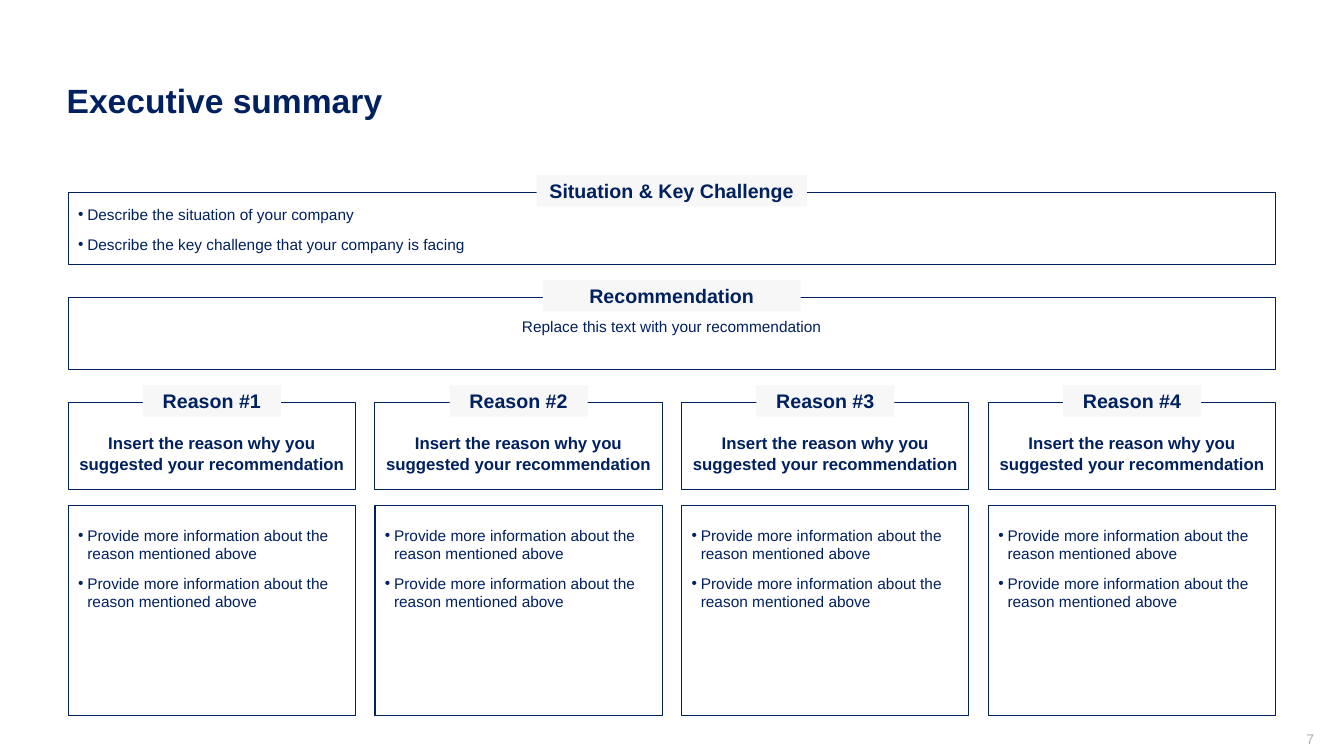
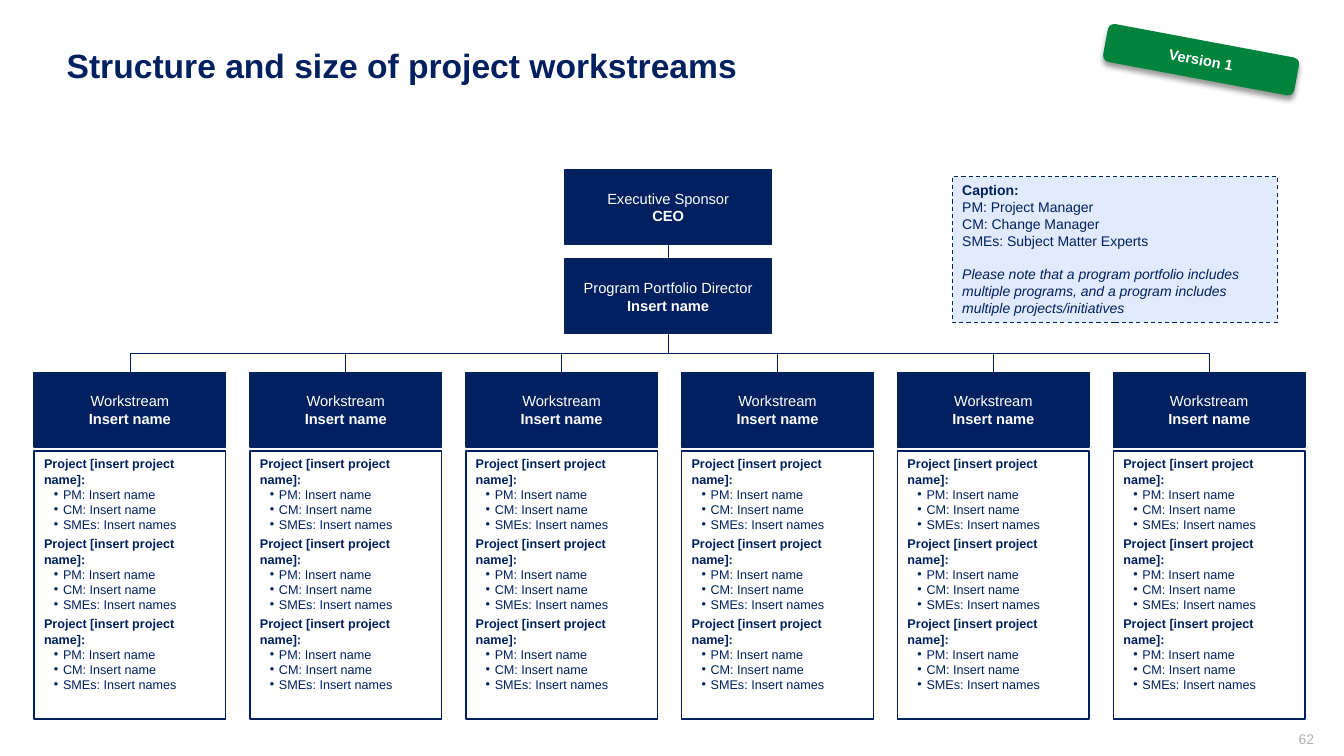
import collections.abc
import dataclasses
import typing

import lxml.etree
import pptx
import pptx.dml.color
import pptx.enum.dml
import pptx.enum.shapes
import pptx.enum.text
import pptx.oxml.ns
import pptx.util

Cm = pptx.util.Cm
Pt = pptx.util.Pt
qn = pptx.oxml.ns.qn
Align = pptx.enum.text.PP_ALIGN
Anchor = pptx.enum.text.MSO_ANCHOR
Preset = pptx.enum.shapes.MSO_SHAPE
Connector = pptx.enum.shapes.MSO_CONNECTOR


@dataclasses.dataclass(frozen=True)
class Theme:
    font: str = "Arial"
    navy: str = "002060"
    white: str = "FFFFFF"
    tag: str = "F7F7F7"
    caption: str = "E1EAFF"
    badge: str = "00843C"
    page: str = "ADAFBB"
    title_size: float = 24
    tag_size: float = 14
    reason_size: float = 12
    list_size: float = 11
    chart_size: float = 10.5
    small_size: float = 10
    project_size: float = 9


THEME = Theme()


class Box(typing.NamedTuple):
    """A rectangle in centimetres."""
    left: float
    top: float
    width: float
    height: float

    @property
    def center(self) -> float:
        return self.left + self.width / 2

    @property
    def bottom(self) -> float:
        return self.top + self.height


@dataclasses.dataclass(frozen=True)
class Line:
    """A paragraph; bullet_at is the indent of its bulleted text in centimetres."""
    text: str
    bold: bool = False
    italic: bool = False
    bullet_at: float | None = None
    before: float = 0
    after: float = 0


@dataclasses.dataclass(frozen=True)
class TextStyle:
    size: float
    color: str = THEME.navy
    align: Align = Align.CENTER
    anchor: Anchor = Anchor.MIDDLE
    insets: tuple[float, float, float, float] = (0.25, 0.13, 0.25, 0.13)


@dataclasses.dataclass(frozen=True)
class Section:
    """An outlined box with a tag centred on its top edge."""
    heading: str
    tag_width: float
    box: Box
    lines: list[Line]
    style: TextStyle


DROPPED = (0.25, 0.5, 0.25, 0.13)
TITLE = TextStyle(THEME.title_size, align=Align.LEFT)
PAGE = TextStyle(THEME.small_size, THEME.page, Align.RIGHT, insets=(0.25, 0, 0, 0.13))
TAG = TextStyle(THEME.tag_size, insets=(0.25, 0.05, 0.25, 0.05))
SITUATION = TextStyle(THEME.list_size, align=Align.LEFT, insets=(0.25, 0.2, 0.25, 0.13))
RECOMMENDATION = TextStyle(THEME.list_size, anchor=Anchor.TOP, insets=DROPPED)
REASON = TextStyle(THEME.reason_size, insets=DROPPED)
DETAIL = TextStyle(THEME.list_size, align=Align.LEFT, anchor=Anchor.TOP, insets=DROPPED)
ROLE = TextStyle(THEME.chart_size, THEME.white)
PROJECT = TextStyle(THEME.project_size, align=Align.LEFT, anchor=Anchor.TOP)
CAPTION = TextStyle(THEME.small_size, align=Align.LEFT, anchor=Anchor.TOP)

HANGING = 0.23
TITLE_BOX = Box(1.43, 1.01, 30.76, 3.02)
PAGE_BOX = Box(25.5, 18.4, 7.62, 0.56)


def rgb(color: str) -> pptx.dml.color.RGBColor:
    return pptx.dml.color.RGBColor.from_string(color)


def place(shape: typing.Any, box: Box) -> None:
    shape.left, shape.top, shape.width, shape.height = map(Cm, box)


def write(shape: typing.Any, lines: collections.abc.Sequence[Line], style: TextStyle) -> None:
    frame = shape.text_frame
    frame.text = "\n".join(line.text for line in lines)
    frame.word_wrap = True
    frame.auto_size = pptx.enum.text.MSO_AUTO_SIZE.NONE
    frame.vertical_anchor = style.anchor
    (frame.margin_left, frame.margin_top,
     frame.margin_right, frame.margin_bottom) = map(Cm, style.insets)
    for paragraph, line in zip(frame.paragraphs, lines):
        if line.bullet_at is not None:
            properties = paragraph._p.get_or_add_pPr()
            properties.set("marL", str(Cm(line.bullet_at)))
            properties.set("indent", str(-Cm(HANGING)))
            lxml.etree.SubElement(properties, qn("a:buFont"), typeface=THEME.font)
            lxml.etree.SubElement(properties, qn("a:buChar"), char="•")
        paragraph.alignment = style.align
        paragraph.space_before = Pt(line.before)
        paragraph.space_after = Pt(line.after)
        for run in paragraph.runs:
            run.font.name = THEME.font
            run.font.size = Pt(style.size)
            run.font.bold = line.bold
            run.font.italic = line.italic
            run.font.color.rgb = rgb(style.color)


def paint(shape: typing.Any, fill: str | None, outline: float | None) -> None:
    """Set the fill and a navy outline of the given width in points."""
    shape.shadow.inherit = False
    if fill:
        shape.fill.solid()
        shape.fill.fore_color.rgb = rgb(fill)
    else:
        shape.fill.background()
    if outline:
        shape.line.color.rgb = rgb(THEME.navy)
        shape.line.width = Pt(outline)
    else:
        shape.line.fill.background()


def add_panel(slide: typing.Any, box: Box, lines: collections.abc.Sequence[Line], style: TextStyle,
              fill: str | None = None, outline: float | None = None,
              preset: Preset = Preset.RECTANGLE) -> typing.Any:
    panel = slide.shapes.add_shape(preset, *map(Cm, box))
    paint(panel, fill, outline)
    write(panel, lines, style)
    return panel


def add_section(slide: typing.Any, section: Section) -> None:
    box = section.box
    add_panel(slide, box, section.lines, section.style, outline=0.75)
    tag = Box(box.center - section.tag_width / 2, box.top - 0.43, section.tag_width, 0.79)
    add_panel(slide, tag, [Line(section.heading, bold=True)], TAG, THEME.tag)


def add_link(slide: typing.Any, kind: Connector,
             start: tuple[float, float], end: tuple[float, float]) -> typing.Any:
    link = slide.shapes.add_connector(kind, *map(Cm, start + end))
    link.line.color.rgb = rgb(THEME.navy)
    link.line.width = Pt(0.5)
    lxml.etree.SubElement(link._element.spPr, qn("a:effectLst"))
    return link


def add_branch(slide: typing.Any, parent: Box, child: Box) -> None:
    """Draw an elbow that leaves the parent downwards: a sideways elbow, turned a quarter."""
    rise = child.top - parent.bottom
    span = child.center - parent.center
    middle_x = (parent.center + child.center) / 2
    middle_y = (parent.bottom + child.top) / 2
    half = rise / 2 if span < 0 else -rise / 2
    link = add_link(slide, Connector.ELBOW,
                    (middle_x - half, middle_y - abs(span) / 2),
                    (middle_x + half, middle_y + abs(span) / 2))
    quarter_turns = 1 if span < 0 else 3
    link._element.spPr.find(qn("a:xfrm")).set("rot", str(quarter_turns * 90 * 60000))


def start_slide(deck: typing.Any, layout: str, title: str, page: int,
                title_anchor: Anchor = Anchor.MIDDLE) -> typing.Any:
    slide = deck.slides.add_slide(deck.slide_layouts.get_by_name(layout))
    heading = slide.shapes.title
    place(heading, TITLE_BOX)
    write(heading, [Line(title, bold=True)], dataclasses.replace(TITLE, anchor=title_anchor))
    page_number = slide.shapes.add_textbox(*map(Cm, PAGE_BOX))
    write(page_number, [Line(str(page))], PAGE)
    return slide


def bullets(*texts: str) -> list[Line]:
    return [Line(text, bullet_at=HANGING, before=4 if i else 0, after=4)
            for i, text in enumerate(texts)]


def build_summary(deck: typing.Any) -> None:
    slide = start_slide(deck, "Comparison", "Executive summary", 7)
    left, width, card_width, card_step = 1.72, 30.42, 7.24, 7.73
    sections = [
        Section("Situation & Key Challenge", 6.81, Box(left, 4.84, width, 1.82),
                bullets("Describe the situation of your company",
                        "Describe the key challenge that your company is facing"), SITUATION),
        Section("Recommendation", 6.5, Box(left, 7.49, width, 1.82),
                [Line("Replace this text with your recommendation")], RECOMMENDATION),
    ]
    details = bullets(*["Provide more information about the reason mentioned above"] * 2)
    for i, detail in enumerate(list(slide.placeholders)[1:]):
        card_left = left + i * card_step
        sections.append(Section(
            f"Reason #{i + 1}", 3.48, Box(card_left, 10.14, card_width, 2.2),
            [Line("Insert the reason why you suggested your recommendation", bold=True)], REASON))
        place(detail, Box(card_left, 12.75, card_width, 5.28))
        paint(detail, None, 0.75)
        write(detail, details, DETAIL)
    for section in sections:
        add_section(slide, section)


def add_role(slide: typing.Any, box: Box, role: str, holder: str) -> None:
    add_panel(slide, box, [Line(role), Line(holder, bold=True)], ROLE, THEME.navy, 1)


def add_badge(slide: typing.Any, text: str) -> None:
    badge = add_panel(slide, Box(27.82, 1.02, 4.9, 0.97), [Line(text, bold=True)], ROLE,
                      THEME.badge, preset=Preset.ROUNDED_RECTANGLE)
    badge.rotation = 10.6
    shadow = lxml.etree.SubElement(
        badge._element.spPr.find(qn("a:effectLst")), qn("a:outerShdw"),
        blurRad=str(Pt(4)), dist=str(Pt(3)), dir=str(90 * 60000), rotWithShape="0")
    black = lxml.etree.SubElement(shadow, qn("a:srgbClr"), val="000000")
    lxml.etree.SubElement(black, qn("a:alpha"), val="40000")


def build_workstreams(deck: typing.Any) -> None:
    slide = start_slide(deck, "Title Only", "Structure and size of project workstreams", 62,
                        Anchor.TOP)
    sponsor = Box(14.24, 4.28, 5.2, 1.88)
    director = sponsor._replace(top=6.53)
    add_link(slide, Connector.STRAIGHT, (sponsor.center, sponsor.bottom),
             (director.center, director.top))
    add_role(slide, sponsor, "Executive Sponsor", "CEO")
    add_role(slide, director, "Program Portfolio Director", "Insert name")

    projects = []
    for i in range(3):
        projects.append(Line("Project [insert project name]:", bold=True, before=3 if i else 0))
        projects += [Line(member, bullet_at=0.48) for member in
                     ("PM: Insert name", "CM: Insert name", "SMEs: Insert names")]
    for i in range(6):
        workstream = Box(0.86 + i * 5.44, 9.39, 4.83, 1.88)
        add_branch(slide, director, workstream)
        add_role(slide, workstream, "Workstream", "Insert name")
        add_panel(slide, workstream._replace(top=11.37, height=6.75), projects, PROJECT,
                  THEME.white, 1)

    caption = add_panel(slide, Box(24, 4.45, 8.2, 3.68), [
        Line("Caption:", bold=True),
        Line("PM: Project Manager"),
        Line("CM: Change Manager"),
        Line("SMEs: Subject Matter Experts"),
        Line("Please note that a program portfolio includes multiple programs, "
             "and a program includes multiple projects/initiatives", italic=True, before=12),
    ], CAPTION, THEME.caption, 0.75)
    caption.line.dash_style = pptx.enum.dml.MSO_LINE.DASH
    add_badge(slide, "Version 1")


def main() -> None:
    deck = pptx.Presentation()
    deck.slide_width, deck.slide_height = Cm(33.87), Cm(19.05)
    build_summary(deck)
    build_workstreams(deck)
    deck.save("out.pptx")


if __name__ == "__main__":
    main()
